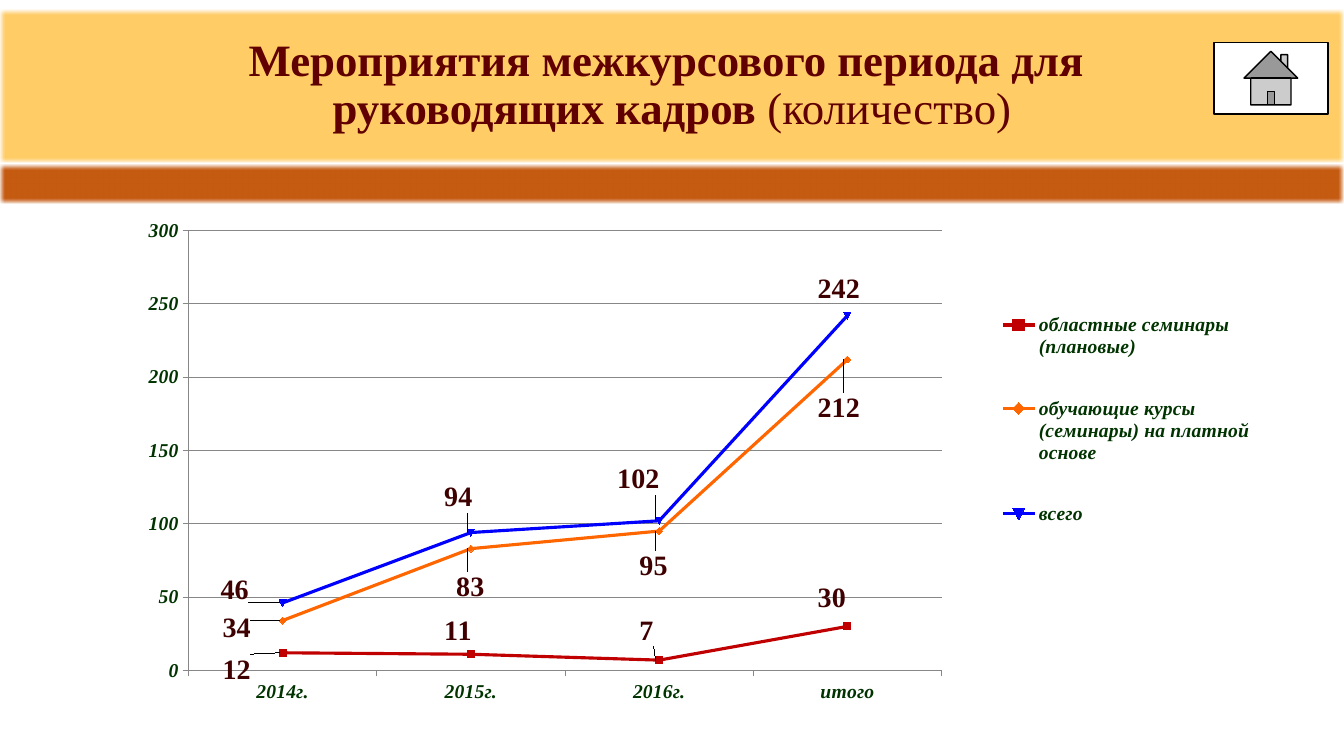
from dataclasses import dataclass

from lxml.etree import SubElement
from pptx import Presentation
from pptx.chart.chart import Chart
from pptx.chart.data import CategoryChartData
from pptx.dml.color import RGBColor
from pptx.enum.chart import (XL_CHART_TYPE, XL_LABEL_POSITION as LABEL_POS,
                             XL_LEGEND_POSITION, XL_MARKER_STYLE, XL_TICK_MARK)
from pptx.enum.shapes import MSO_SHAPE as SHAPE
from pptx.enum.text import MSO_ANCHOR, PP_ALIGN
from pptx.oxml import parse_xml
from pptx.oxml.ns import nsdecls, qn
from pptx.util import Inches, Pt

FONT = "Times New Roman"
TITLE_COLOR, AXIS_TEXT, LABEL_TEXT, GRID = "600000", "003300", "3E0000", "878787"
CHART_WIDTH, CHART_HEIGHT = 11.44, 5.04
CATEGORIES = ["2014г.", "2015г.", "2016г.", "итого"]


@dataclass
class Band:
    top: float
    height: float
    color: str


@dataclass
class Line:
    """A chart series; shifts move each label from its place, in inches."""
    name: str
    values: list[int]
    color: str
    shifts: list[tuple[float, float]]


TITLE_BAND = Band(0.09, 1.52, "FFCC66")
ACCENT_BAND = Band(1.63, 0.39, "C55A11")
LINES = [
    Line("областные семинары (плановые)", [12, 11, 7, 30], "C00000",
         [(-0.24, 0.17), (0.09, -0.23), (0.02, -0.29), (0.06, -0.28)]),
    Line("обучающие курсы (семинары) на платной основе", [34, 83, 95, 212], "FF6600",
         [(-0.24, 0.07), (0.21, 0.38), (0.16, 0.35), (0.2, 0.48)]),
    Line("всего", [46, 94, 102, 242], "0000FF",
         [(-0.26, -0.13), (0.09, -0.35), (0.08, -0.41), (0.2, -0.26)]),
]


def rgb(color: str) -> RGBColor:
    return RGBColor.from_string(color)


def format_font(font, size: float, color: str, bold: bool = True,
                italic: bool = False) -> None:
    font.name, font.size, font.bold, font.italic = FONT, Pt(size), bold, italic
    font.color.rgb = rgb(color)


def add_run(p, text: str, **fmt) -> None:
    r = p.add_run()
    r.text = text
    format_font(r.font, **fmt)


def add_band(slide, band: Band):
    sp = slide.shapes.add_shape(SHAPE.RECTANGLE, 0, Inches(band.top),
                                Inches(13.33), Inches(band.height))
    sp.shadow.inherit = False
    sp.fill.solid()
    sp.fill.fore_color.rgb = rgb(band.color)
    sp.line.fill.background()
    effects = sp.element.spPr.find(qn("a:effectLst"))
    SubElement(effects, qn("a:softEdge"), rad="31750")
    return sp


def add_title(slide) -> None:
    tf = add_band(slide, TITLE_BAND).text_frame
    tf.word_wrap = True
    tf.vertical_anchor = MSO_ANCHOR.MIDDLE
    p = tf.paragraphs[0]
    p.alignment = PP_ALIGN.CENTER
    p.line_spacing = 0.9
    add_run(p, "Мероприятия межкурсового периода для ", size=32, color=TITLE_COLOR)
    p.add_line_break()
    add_run(p, "руководящих кадров ", size=32, color=TITLE_COLOR)
    add_run(p, "(количество)", size=32, color=TITLE_COLOR, bold=False)


def manual_layout(x: float, y: float, w: float = 0, h: float = 0,
                  inner: bool = False):
    """Layout by chart fractions; without a size, x and y are label shifts."""
    parts = [("layoutTarget", "inner")] if inner else []
    if w:
        parts += [("xMode", "edge"), ("yMode", "edge")]
    parts += [("x", x), ("y", y)]
    if w:
        parts += [("w", w), ("h", h)]
    body = "".join(f'<c:{tag} val="{val}"/>' for tag, val in parts)
    return parse_xml(f'<c:layout {nsdecls("c")}><c:manualLayout>{body}'
                     "</c:manualLayout></c:layout>")


def style_series(series, line: Line) -> None:
    series.smooth = False
    series.format.line.color.rgb = rgb(line.color)
    series.format.line.width = Pt(2.25)
    marker = series.marker
    marker.style, marker.size = XL_MARKER_STYLE.AUTOMATIC, 5
    marker.format.fill.solid()
    marker.format.fill.fore_color.rgb = rgb(line.color)
    marker.format.line.color.rgb = rgb(line.color)
    labels = series.data_labels
    labels.show_value, labels.position = True, LABEL_POS.LEFT
    format_font(labels.font, 20, LABEL_TEXT)
    for i in range(len(line.values)):
        label = series.points[i].data_label
        format_font(label.font, 20, LABEL_TEXT)
        label.position = LABEL_POS.LEFT
    for item, (dx, dy) in zip(labels._element.findall(qn("c:dLbl")), line.shifts):
        item.insert(1, manual_layout(dx / CHART_WIDTH, dy / CHART_HEIGHT))


def style_axes(chart: Chart) -> None:
    for axis in (chart.category_axis, chart.value_axis):
        axis.major_tick_mark = XL_TICK_MARK.OUTSIDE
        axis.format.line.color.rgb = rgb(GRID)
        format_font(axis.tick_labels.font, 14, AXIS_TEXT, italic=True)
    values = chart.value_axis
    values.minimum_scale, values.maximum_scale, values.major_unit = 0, 300, 50
    values.has_major_gridlines = True
    values.major_gridlines.format.line.color.rgb = rgb(GRID)


def style_legend(chart: Chart) -> None:
    chart.has_legend = True
    legend = chart.legend
    legend.position = XL_LEGEND_POSITION.RIGHT
    legend.include_in_layout = False
    format_font(legend.font, 14, AXIS_TEXT, italic=True)
    for old in legend._element.findall(qn("c:layout")):
        legend._element.remove(old)
    legend._element.find(qn("c:legendPos")).addnext(
        manual_layout(0.76, 0.14, 0.23, 0.57))


def add_line_chart(slide) -> None:
    data = CategoryChartData()
    data.categories = CATEGORIES
    for line in LINES:
        data.add_series(line.name, line.values)
    chart = slide.shapes.add_chart(
        XL_CHART_TYPE.LINE_MARKERS, Inches(1.16), Inches(2.02),
        Inches(CHART_WIDTH), Inches(CHART_HEIGHT), data).chart
    chart.has_title = False
    format_font(chart.font, 14, "385723")
    plot = chart.plots[0]
    plot.vary_by_categories = False
    for series, line in zip(plot.series, LINES):
        style_series(series, line)
    style_axes(chart)
    style_legend(chart)
    area = chart._chartSpace.chart.plotArea
    for old in area.findall(qn("c:layout")):
        area.remove(old)
    area.insert(0, manual_layout(0.062, 0.053, 0.653, 0.866, inner=True))


def add_home_button(slide) -> None:
    sp = slide.shapes.add_shape(SHAPE.ACTION_BUTTON_HOME, Inches(12.04),
                                Inches(0.42), Inches(1.13), Inches(0.71))
    sp.shadow.inherit = False
    sp.fill.solid()
    sp.fill.fore_color.rgb = rgb("FFFFFF")
    sp.line.color.rgb = rgb("000000")
    sp.line.width = Pt(1)


def main() -> None:
    prs = Presentation()
    prs.slide_width, prs.slide_height = Inches(13.33), Inches(7.5)
    slide = prs.slides.add_slide(prs.slide_layouts[6])
    add_title(slide)
    add_band(slide, ACCENT_BAND)
    add_line_chart(slide)
    add_home_button(slide)
    prs.save("out.pptx")


if __name__ == "__main__":
    main()
